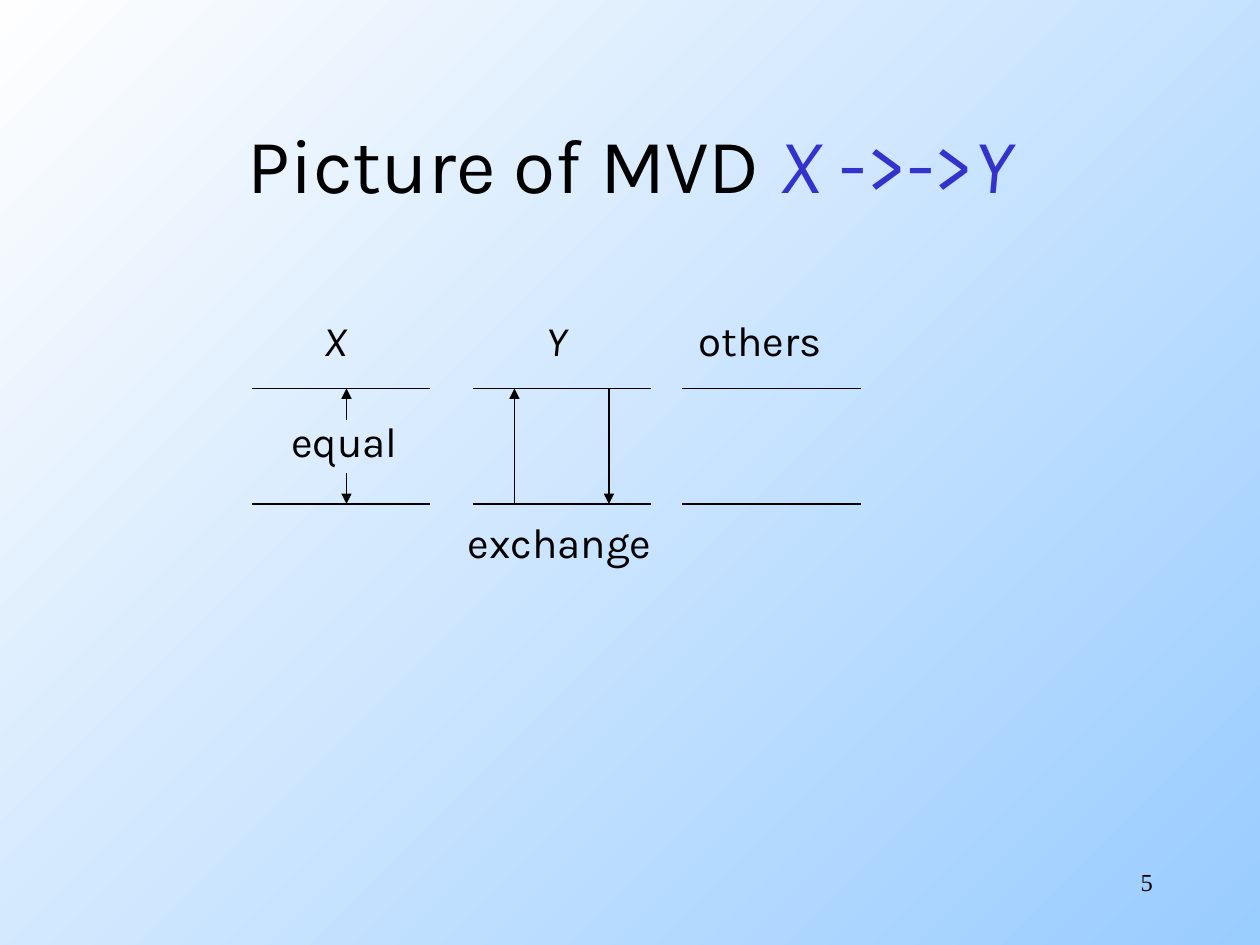
from pptx import Presentation
from pptx.dml.color import RGBColor
from pptx.enum.shapes import MSO_CONNECTOR
from pptx.enum.text import MSO_ANCHOR, MSO_AUTO_SIZE, PP_ALIGN
from pptx.oxml.ns import qn
from pptx.util import Inches, Pt
from lxml import etree

STRAIGHT = MSO_CONNECTOR.STRAIGHT
TOP, MIDDLE = MSO_ANCHOR.TOP, MSO_ANCHOR.MIDDLE
CENTER, RIGHT = PP_ALIGN.CENTER, PP_ALIGN.RIGHT
NO_AUTOFIT = MSO_AUTO_SIZE.NONE

BLACK = RGBColor(0x00, 0x00, 0x00)
INDIGO = RGBColor(0x33, 0x33, 0xCC)
SKY = RGBColor(0x99, 0xCC, 0xFF)
WHITE = RGBColor(0xFE, 0xFE, 0xFE)

COLUMNS, ROWS = 120, 90
UPPER_ROW, LOWER_ROW = 37, 48
SEGMENT_STARTS, SEGMENT_WIDTH = (24, 45, 65), 17
LABEL_WIDTH, LABEL_HEIGHT = 26, 6


class SlideBuilder:
    heading_font = "Karla"
    number_font = "Times New Roman"

    def __init__(self, presentation):
        self.column = presentation.slide_width / COLUMNS
        self.row = presentation.slide_height / ROWS
        self.slide = presentation.slides.add_slide(presentation.slide_layouts[5])

    def x(self, columns):
        return round(columns * self.column)

    def y(self, rows):
        return round(rows * self.row)

    def background(self, start, end, angle):
        fill = self.slide.background.fill
        fill.gradient()
        fill.gradient_angle = angle
        for stop, color in zip(fill.gradient_stops, (start, end)):
            stop.color.rgb = color

    def set_text(self, shape, runs, size, font, align, anchor):
        frame = shape.text_frame
        frame.word_wrap = True
        frame.auto_size = NO_AUTOFIT
        frame.vertical_anchor = anchor
        paragraph = frame.paragraphs[0]
        paragraph.alignment = align
        for text, color, italic in runs:
            run = paragraph.add_run()
            run.text = text
            run.font.name = font
            run.font.size = Pt(size)
            run.font.color.rgb = color
            run.font.italic = italic

    def title(self, runs, left, top, width, height):
        shape = self.slide.shapes.title
        shape.left, shape.top = self.x(left), self.y(top)
        shape.width, shape.height = self.x(width), self.y(height)
        self.set_text(shape, runs, 44, self.heading_font, CENTER, MIDDLE)

    def text_box(self, left, top, width, height):
        return self.slide.shapes.add_textbox(
            self.x(left), self.y(top), self.x(width), self.y(height))

    def label(self, text, center, middle, italic=False):
        shape = self.text_box(center - LABEL_WIDTH / 2, middle - LABEL_HEIGHT / 2,
                              LABEL_WIDTH, LABEL_HEIGHT)
        self.set_text(shape, [(text, BLACK, italic)], 24, self.heading_font, CENTER, MIDDLE)

    def page_number(self, text, left, top, width, height):
        shape = self.text_box(left, top, width, height)
        self.set_text(shape, [(text, BLACK, False)], 14, self.number_font, RIGHT, TOP)

    def line(self, start, end, arrow=False):
        connector = self.slide.shapes.add_connector(
            STRAIGHT, self.x(start[0]), self.y(start[1]), self.x(end[0]), self.y(end[1]))
        connector.line.color.rgb = BLACK
        connector.line.width = Pt(0.75)
        properties = connector._element.spPr
        if arrow:
            etree.SubElement(properties.find(qn("a:ln")), qn("a:tailEnd"), type="triangle")
        etree.SubElement(properties, qn("a:effectLst"))


def main():
    presentation = Presentation()
    presentation.slide_width, presentation.slide_height = Inches(10), Inches(7.5)
    builder = SlideBuilder(presentation)
    builder.background(SKY, WHITE, 135)
    builder.title([("Picture of MVD ", BLACK, False), ("X ", INDIGO, True),
                   ("->->", INDIGO, False), ("Y", INDIGO, True)], 9, 8, 102, 15)

    for row in (UPPER_ROW, LOWER_ROW):
        for start in SEGMENT_STARTS:
            builder.line((start, row), (start + SEGMENT_WIDTH, row))

    for text, center, middle, italic in (
            ("X", 32, 32.4, True), ("Y", 53, 32.4, True), ("others", 72.4, 32.4, False),
            ("equal", 32.8, 42, False), ("exchange", 53.3, 51.6, False)):
        builder.label(text, center, middle, italic)

    for column, start, end in ((33, 40, UPPER_ROW), (33, 45, LOWER_ROW),
                               (49, LOWER_ROW, UPPER_ROW), (58, UPPER_ROW, LOWER_ROW)):
        builder.line((column, start), (column, end), arrow=True)

    builder.page_number("5", 86, 82, 25, 6)
    presentation.save("out.pptx")


if __name__ == "__main__":
    main()
